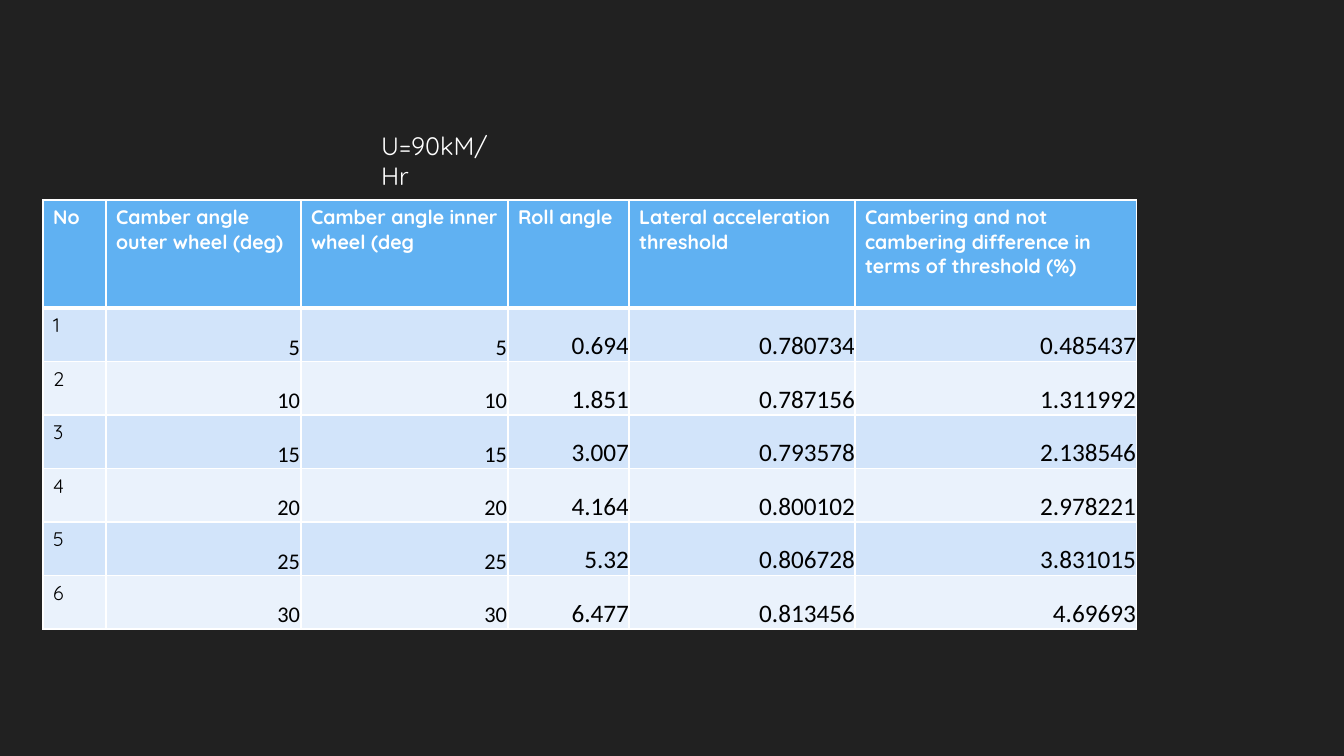
from lxml import etree
from pptx import Presentation
from pptx.dml.color import RGBColor
from pptx.enum.text import MSO_ANCHOR, MSO_AUTO_SIZE, PP_ALIGN
from pptx.oxml.ns import qn
from pptx.util import Pt

TOP, BOTTOM = MSO_ANCHOR.TOP, MSO_ANCHOR.BOTTOM
LEFT, RIGHT = PP_ALIGN.LEFT, PP_ALIGN.RIGHT
NO_FIT = MSO_AUTO_SIZE.NONE
PX = 914400 / 100.8

THEME = {
    "back": "212121", "head": "60B1F2", "bands": ("D2E4FA", "EAF2FC"),
    "light": "FFFFFF", "dark": "000000",
    "font": "Quicksand", "figures": "Calibri",
    "title": 18, "label": 14, "angle": 16, "result": 18,
}

HEADS = ["No", "Camber angle outer wheel (deg)", "Camber angle inner wheel (deg",
         "Roll angle", "Lateral acceleration threshold",
         "Cambering and not cambering difference in terms of threshold (%)"]
RESULTS = [
    ("0.694", "0.780734", "0.485437"),
    ("1.851", "0.787156", "1.311992"),
    ("3.007", "0.793578", "2.138546"),
    ("4.164", "0.800102", "2.978221"),
    ("5.32", "0.806728", "3.831015"),
    ("6.477", "0.813456", "4.69693"),
]
WIDTHS = [63, 195, 207, 121, 226, 282]
HEAD_H, BODY_H = 108, 321


def px(n):
    return round(n * PX)


def write(frame, text, size, color, font=THEME["font"], bold=False, align=LEFT):
    para = frame.paragraphs[0]
    para.alignment = align
    run = para.add_run()
    run.text = text
    run.font.size = Pt(size)
    run.font.name = font
    run.font.bold = bold
    run.font.color.rgb = RGBColor.from_string(color)


deck = Presentation()
deck.slide_width, deck.slide_height = px(1344), px(756)
slide = deck.slides.add_slide(deck.slide_layouts[5])
slide.background.fill.solid()
slide.background.fill.fore_color.rgb = RGBColor.from_string(THEME["back"])

# Speed heading
title = slide.shapes.title
title.left, title.top, title.width, title.height = px(371), px(125), px(150), px(40)
frame = title.text_frame
frame.word_wrap = True
frame.auto_size = NO_FIT
frame.vertical_anchor = TOP
write(frame, "U=90kM/Hr", THEME["title"], THEME["light"])

# Camber table
rows = [HEADS]
for no, result in enumerate(RESULTS, 1):
    angle = str(5 * no)
    rows.append([str(no), angle, angle, *result])

table = slide.shapes.add_table(len(rows), len(HEADS), px(43), px(200),
                               px(sum(WIDTHS)), px(HEAD_H + BODY_H)).table
for col, width in zip(table.columns, WIDTHS):
    col.width = px(width)
for r, row in enumerate(table.rows):
    row.height = px(BODY_H / len(RESULTS) if r else HEAD_H)

for r, texts in enumerate(rows):
    for c, text in enumerate(texts):
        cell = table.cell(r, c)
        cell.fill.solid()
        fill = THEME["bands"][(r - 1) % 2] if r else THEME["head"]
        cell.fill.fore_color.rgb = RGBColor.from_string(fill)

        if r == 0:
            write(cell.text_frame, text, THEME["label"], THEME["light"], bold=True)
        elif c == 0:
            write(cell.text_frame, text, THEME["label"], THEME["dark"])
        else:
            inset = px(0 if c in (3, 4) else 1)
            cell.margin_left = cell.margin_top = cell.margin_right = inset
            cell.margin_bottom = 0
            cell.vertical_anchor = BOTTOM
            size = THEME["angle"] if c < 3 else THEME["result"]
            write(cell.text_frame, text, size, THEME["dark"],
                  font=THEME["figures"], align=RIGHT)

        props = cell._tc.get_or_add_tcPr()
        for i, side in enumerate(("lnL", "lnR", "lnT", "lnB")):
            thick = (r, side) in ((0, "lnB"), (1, "lnT"))
            line = etree.Element(qn("a:" + side), w=str(Pt(3 if thick else 1)))
            solid = etree.SubElement(line, qn("a:solidFill"))
            etree.SubElement(solid, qn("a:srgbClr"), val=THEME["light"])
            props.insert(i, line)

deck.save("out.pptx")
